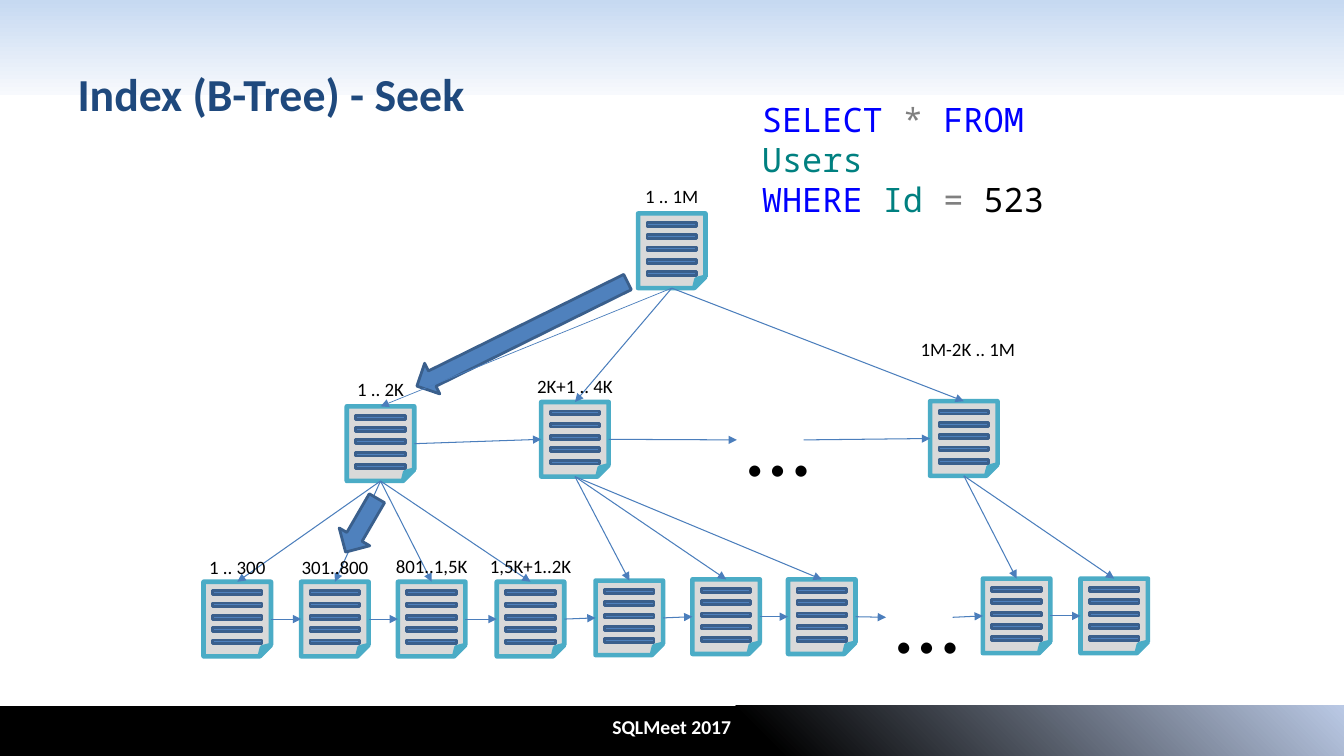
import pptx
import pptx.util
import pptx.dml.color
import pptx.enum.shapes
import pptx.enum.text
import pptx.oxml
import pptx.oxml.ns
import lxml.etree

Cm = pptx.util.Cm
Pt = pptx.util.Pt
RGBColor = pptx.dml.color.RGBColor
SHAPE = pptx.enum.shapes.MSO_SHAPE
ALIGN = pptx.enum.text.PP_ALIGN
ANCHOR = pptx.enum.text.MSO_ANCHOR
AUTO_SIZE = pptx.enum.text.MSO_AUTO_SIZE

BLACK = RGBColor(0x00, 0x00, 0x00)
WHITE = RGBColor(0xFF, 0xFF, 0xFF)
NAVY = RGBColor(0x1F, 0x49, 0x7D)
BLUE = RGBColor(0x4F, 0x81, 0xBD)
DARK_BLUE = RGBColor(0x3A, 0x5F, 0x8C)
LINK_BLUE = RGBColor(0x4B, 0x7E, 0xBC)
TEAL = RGBColor(0x4B, 0xAC, 0xC6)
PAGE_GRAY = RGBColor(0xD9, 0xD9, 0xD9)
SKY = RGBColor(0xC6, 0xD9, 0xF1)
PALE = RGBColor(0xF7, 0xF9, 0xFD)
FOOTER_END = RGBColor(0xBA, 0xC9, 0xE5)
KEYWORD = RGBColor(0x00, 0x00, 0xFF)
OPERATOR = RGBColor(0x80, 0x80, 0x80)
IDENTIFIER = RGBColor(0x00, 0x80, 0x80)

SLIDE_SIZE = (33.87, 19.05)
TITLE = "Index (B-Tree) - Seek"
FOOTER = "SQLMeet 2017"
BANDS = [
    (0, 2.39, 270, ((0, SKY), (1, PALE))),
    (17.78, 1.27, 45, ((0.56, BLACK), (1, FOOTER_END))),
]
QUERY = [
    [("SELECT ", KEYWORD), ("* ", OPERATOR), ("FROM ", KEYWORD), ("Users", IDENTIFIER)],
    [("WHERE ", KEYWORD), ("Id ", IDENTIFIER), ("=", OPERATOR), (" 523", BLACK)],
]
LEVELS = [
    [("root", 16.08, 5.38)],
    [("first", 8.74, 10.24), ("second", 13.64, 10.13), ("dots", 18.57, 9.55), ("last", 23.44, 10.11)],
    [("leaf 1", 5.13, 14.66), ("leaf 2", 7.59, 14.66), ("leaf 3", 10.03, 14.66),
     ("leaf 4", 12.52, 14.66), ("leaf 5", 15.01, 14.63), ("leaf 6", 17.45, 14.6),
     ("leaf 7", 19.86, 14.6), ("leaf dots", 22.33, 14.02), ("leaf 8", 24.77, 14.58),
     ("leaf 9", 27.23, 14.58)],
]
CHILDREN = {
    "root": ["first", "second", "last"],
    "first": ["leaf 1", "leaf 2", "leaf 3", "leaf 4"],
    "second": ["leaf 5", "leaf 6", "leaf 7"],
    "last": ["leaf 8", "leaf 9"],
}
RANGES = [
    ("root", "1 .. 1M", 0.86, 0), ("first", "1 .. 2K", 0.84, 0),
    ("second", "2K+1 .. 4K", 0.81, 0), ("last", "1M-2K .. 1M", 1.73, 0.1),
    ("leaf 1", "1 .. 300", 0.79, 0), ("leaf 2", "301..800", 0.79, 0),
    ("leaf 3", "801..1,5K", 0.82, 0), ("leaf 4", "1,5K+1..2K", 0.82, 0),
]
ROOT_SEEK = (12.73, 5.46, 0.86, 5.92, 63.7)
LEAF_SEEK = (8.66, 12.45, 0.89, 1.57, 30.2)
PAGE_WIDTH, PAGE_HEIGHT = 1.7, 1.88
STRIPE_COUNT, STRIPE_TOP, STRIPE_PITCH, STRIPE_HEIGHT = 5, 0.07, 0.31, 0.41
LABEL_WIDTH, LABEL_HEIGHT = 3.3, 0.84
DOTS_WIDTH, DOTS_HEIGHT = 1.68, 3.07

DOTS_FORMAT = {"name": "Calibri", "size": Pt(66)}
LABEL_FORMAT = {"name": "Calibri", "size": Pt(13.5)}
QUERY_FORMAT = {"name": "Noto Sans Mono", "size": Pt(24)}
FOOTER_FORMAT = {"name": "Calibri", "size": Pt(14), "bold": True}
TITLE_FORMAT = {"name": "Calibri", "size": Pt(32.7), "bold": True}
GROW_FRAME = {"word_wrap": True, "auto_size": AUTO_SIZE.SHAPE_TO_FIT_TEXT}
FIXED_FRAME = {"word_wrap": True, "auto_size": AUTO_SIZE.NONE, "vertical_anchor": ANCHOR.MIDDLE}


def apply_format(target, values):
    for name, value in values.items():
        setattr(target, name, value)


def write_lines(shape, lines, font_format, frame_format, alignment):
    frame = shape.text_frame
    apply_format(frame, frame_format)
    for index, line in enumerate(lines):
        paragraph = frame.add_paragraph() if index else frame.paragraphs[0]
        paragraph.alignment = alignment
        for text, color in line:
            run = paragraph.add_run()
            run.text = text
            apply_format(run.font, font_format)
            run.font.color.rgb = color


def add_text(shapes, box, lines, font_format, frame_format=GROW_FRAME, alignment=ALIGN.CENTER):
    shape = shapes.add_textbox(*map(Cm, box))
    write_lines(shape, lines, font_format, frame_format, alignment)
    return shape


def add_filled(shapes, kind, box, fill, line, width):
    shape = shapes.add_shape(kind, *map(Cm, box))
    shape.shadow.inherit = False
    shape.fill.solid()
    shape.fill.fore_color.rgb = fill
    shape.line.color.rgb = line
    shape.line.width = Pt(width)
    return shape


def add_band(shapes, top, height, angle, stops):
    band = shapes.add_shape(SHAPE.RECTANGLE, 0, Cm(top), Cm(SLIDE_SIZE[0]), Cm(height))
    band.shadow.inherit = False
    band.line.fill.background()
    band.fill.gradient()
    band.fill.gradient_angle = angle
    for stop, (position, color) in zip(band.fill.gradient_stops, stops):
        stop.position = position
        stop.color.rgb = color
    return band


def add_page(shapes, left, top):
    group = shapes.add_group_shape().shapes
    page = add_filled(group, SHAPE.FOLDED_CORNER, (left, top, PAGE_WIDTH, PAGE_HEIGHT),
                      PAGE_GRAY, TEAL, 3.25)
    for index in range(STRIPE_COUNT):
        stripe_top = top + STRIPE_TOP + index * STRIPE_PITCH
        add_filled(group, SHAPE.MATH_MINUS, (left, stripe_top, PAGE_WIDTH, STRIPE_HEIGHT),
                   BLUE, DARK_BLUE, 2)
    return page


def add_link(shapes, start, start_side, end, end_side, width=0.75):
    link = shapes.add_connector(pptx.enum.shapes.MSO_CONNECTOR.STRAIGHT, 0, 0, 0, 0)
    link.begin_connect(start, start_side)
    link.end_connect(end, end_side)
    link.line.color.rgb = LINK_BLUE
    link.line.width = Pt(width)
    properties = link._element.spPr
    outline = properties.find(pptx.oxml.ns.qn("a:ln"))
    lxml.etree.SubElement(outline, pptx.oxml.ns.qn("a:tailEnd"), type="triangle")
    lxml.etree.SubElement(properties, pptx.oxml.ns.qn("a:effectLst"))


def add_seek(shapes, left, top, width, height, rotation):
    arrow = add_filled(shapes, SHAPE.DOWN_ARROW, (left, top, width, height), BLUE, DARK_BLUE, 2)
    arrow.rotation = rotation


def main():
    presentation = pptx.Presentation()
    presentation.slide_width, presentation.slide_height = map(Cm, SLIDE_SIZE)
    slide = presentation.slides.add_slide(presentation.slide_layouts[5])
    shapes = slide.shapes
    title = shapes.title
    apply_format(title, {"left": Cm(1.7), "top": Cm(0.76), "width": Cm(30.48), "height": Cm(3.18)})
    write_lines(title, [[(TITLE, NAVY)]], TITLE_FORMAT, FIXED_FRAME, ALIGN.LEFT)
    for band in BANDS:
        title._element.addprevious(add_band(shapes, *band)._element)
    add_text(shapes, (9.45, 17.78, 14.96, 1.07), [[(FOOTER, WHITE)]], FOOTER_FORMAT, FIXED_FRAME)

    nodes, places = {}, {}
    for level in LEVELS:
        for name, left, top in level:
            places[name] = (left, top)
            if name.endswith("dots"):
                nodes[name] = add_text(shapes, (left, top, DOTS_WIDTH, DOTS_HEIGHT),
                                       [[("…", BLACK)]], DOTS_FORMAT)
            else:
                nodes[name] = add_page(shapes, left, top)

    add_seek(shapes, *ROOT_SEEK)
    for parent, children in CHILDREN.items():
        for child in children:
            add_link(shapes, nodes[parent], 2, nodes[child], 0, 0.5 if child == "first" else 0.75)
    for level in LEVELS:
        for (start, *_), (end, *_) in zip(level, level[1:]):
            add_link(shapes, nodes[start], 3, nodes[end], 1)

    for name, text, rise, shift in RANGES:
        left, top = places[name]
        label_left = left + (PAGE_WIDTH - LABEL_WIDTH) / 2 + shift
        add_text(shapes, (label_left, top - rise, LABEL_WIDTH, LABEL_HEIGHT),
                 [[(text, BLACK)]], LABEL_FORMAT)
    add_text(shapes, (18.95, 2.36, 9.75, 2.31), QUERY, QUERY_FORMAT, alignment=ALIGN.LEFT)
    add_seek(shapes, *LEAF_SEEK)
    presentation.save("out.pptx")


if __name__ == "__main__":
    main()
